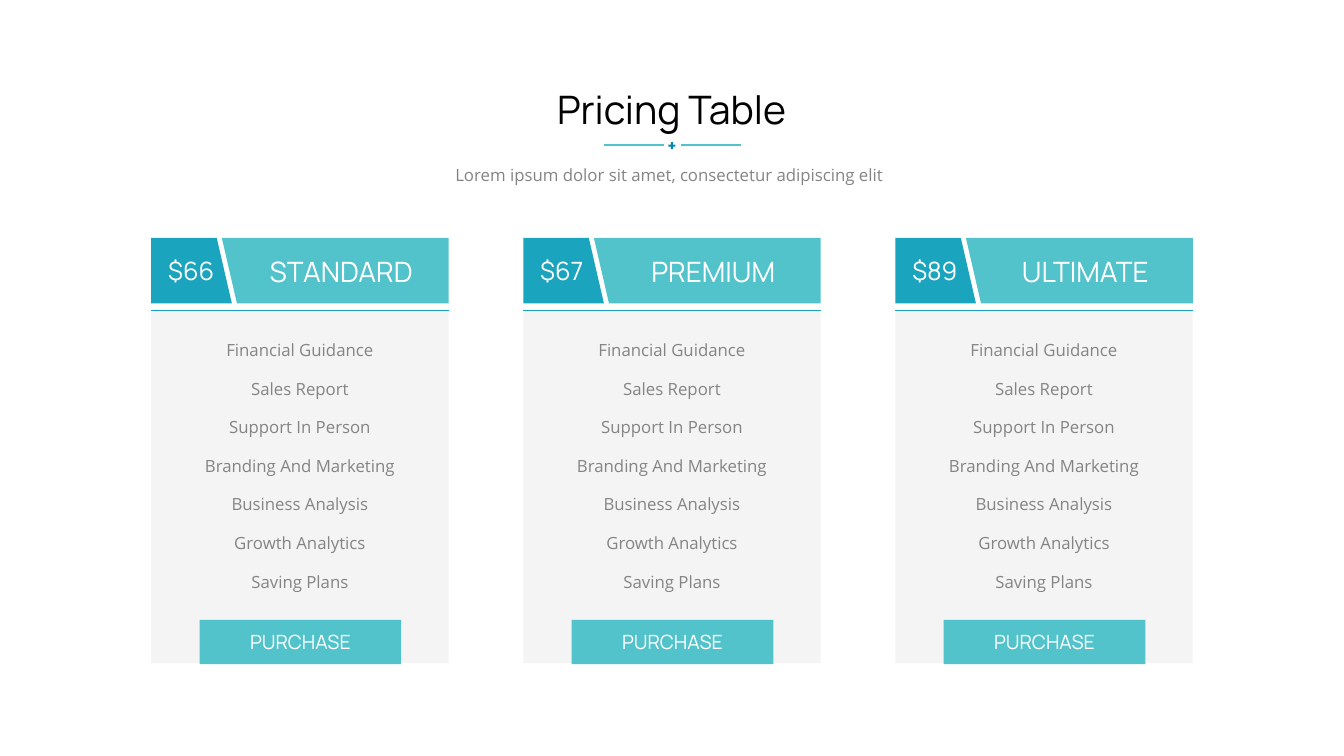
from lxml import etree
from pptx import Presentation
from pptx.dml.color import RGBColor
from pptx.enum.shapes import MSO_CONNECTOR, MSO_SHAPE
from pptx.enum.text import MSO_ANCHOR, MSO_AUTO_SIZE, PP_ALIGN
from pptx.oxml.ns import qn
from pptx.util import Inches, Pt

RECT, CROSS = MSO_SHAPE.RECTANGLE, MSO_SHAPE.CROSS
STRAIGHT = MSO_CONNECTOR.STRAIGHT
LEFT, CENTER = PP_ALIGN.LEFT, PP_ALIGN.CENTER
MIDDLE = MSO_ANCHOR.MIDDLE
NO_AUTOFIT = MSO_AUTO_SIZE.NONE

COLORS = {
    "title": "000000",
    "body": "848484",
    "white": "FFFFFF",
    "panel": "F2F2F2",
    "teal": "52C3CB",
    "blue": "1AA4BE",
    "plus": "0187AD",
}
PLANS = [("STANDARD", "$66"), ("PREMIUM", "$67"), ("ULTIMATE", "$89")]
FEATURES = [
    "Financial Guidance",
    "Sales Report",
    "Support In Person",
    "Branding And Marketing",
    "Business Analysis",
    "Growth Analytics",
    "Saving Plans",
]
CARD_LEFT, CARD_PITCH, CARD_WIDTH = 1.5, 3.69, 2.95
HEAD_TOP, HEAD_BOTTOM = 2.36, 3.01
FEATURE_TOP, FEATURE_STEP = 3.32, 2.3 / 6


def put_text(sp, text, size, color, font="Manrope", align=CENTER, wrap=True, spacing=1.0):
    tf = sp.text_frame
    tf.auto_size = NO_AUTOFIT
    tf.word_wrap = wrap
    tf.vertical_anchor = MIDDLE
    p = tf.paragraphs[0]
    p.alignment = align
    p.line_spacing = spacing
    r = p.add_run()
    r.text = text
    r.font.name = font
    r.font.size = Pt(size)
    r.font.color.rgb = RGBColor.from_string(COLORS[color])


def paint(sp, color):
    sp.shadow.inherit = False
    sp.fill.solid()
    sp.fill.fore_color.rgb = RGBColor.from_string(COLORS[color])
    sp.line.fill.background()


prs = Presentation()
prs.slide_width, prs.slide_height = Inches(13.33), Inches(7.5)
s = prs.slides.add_slide(prs.slide_layouts[5])
shapes = s.shapes

title = shapes.title
title.left, title.top = Inches(4.27), Inches(0.79)
title.width, title.height = Inches(4.78), Inches(0.57)
put_text(title, "Pricing Table", 28, "title")

subtitle = shapes.add_textbox(Inches(3.2), Inches(1.53), Inches(6.88), Inches(0.34))
put_text(subtitle, "Lorem ipsum dolor sit amet, consectetur adipiscing elit", 12, "body",
         font="Open Sans", spacing=1.3)

plus = shapes.add_shape(CROSS, Inches(6.63), Inches(1.41), Inches(0.07), Inches(0.07))
plus.adjustments[0] = 0.35
paint(plus, "plus")

rules = [(5.99, 1.44, 0.6, "teal", 1.5), (6.75, 1.44, 0.6, "teal", 1.5)]

for i, (plan, price) in enumerate(PLANS):
    x = CARD_LEFT + i * CARD_PITCH
    rules.append((x, 3.08, CARD_WIDTH, "blue", 1.25))

    panel = shapes.add_shape(RECT, Inches(x), Inches(3.07), Inches(CARD_WIDTH), Inches(3.51))
    paint(panel, "panel")
    rgb = panel.fill._xPr.find(qn("a:solidFill")).find(qn("a:srgbClr"))
    etree.SubElement(rgb, qn("a:alpha"), val="80000")

    price_tab = [(0, HEAD_TOP), (0.65, HEAD_TOP), (0.8, HEAD_BOTTOM), (0, HEAD_BOTTOM)]
    name_tab = [(0.7, HEAD_TOP), (CARD_WIDTH, HEAD_TOP),
                (CARD_WIDTH, HEAD_BOTTOM), (0.85, HEAD_BOTTOM)]
    for corners, color in ((price_tab, "blue"), (name_tab, "teal")):
        points = [(Inches(x + dx), Inches(y)) for dx, y in corners]
        outline = shapes.build_freeform(*points[0])
        outline.add_line_segments(points[1:])
        paint(outline.convert_to_shape(), color)

    price_box = shapes.add_textbox(Inches(x + 0.07), Inches(2.48), Inches(0.66), Inches(0.4))
    put_text(price_box, price, 18, "white", align=LEFT, wrap=False)
    name_box = shapes.add_textbox(Inches(x + 1.02), Inches(2.47), Inches(1.73), Inches(0.44))
    put_text(name_box, plan, 20, "white", wrap=False)

    for row, feature in enumerate(FEATURES):
        top = FEATURE_TOP + row * FEATURE_STEP
        box = shapes.add_textbox(Inches(x + 0.4), Inches(top), Inches(2.15), Inches(0.3))
        put_text(box, feature, 12, "body", font="Open Sans")

    button = shapes.add_shape(RECT, Inches(x + 0.48), Inches(6.15), Inches(2), Inches(0.44))
    paint(button, "teal")
    put_text(button, "PURCHASE", 14, "white")

for x, y, width, color, weight in rules:
    rule = shapes.add_connector(STRAIGHT, Inches(x), Inches(y), Inches(x + width), Inches(y))
    rule.line.color.rgb = RGBColor.from_string(COLORS[color])
    rule.line.width = Pt(weight)
    etree.SubElement(rule._element.spPr, qn("a:effectLst"))

prs.save("out.pptx")
